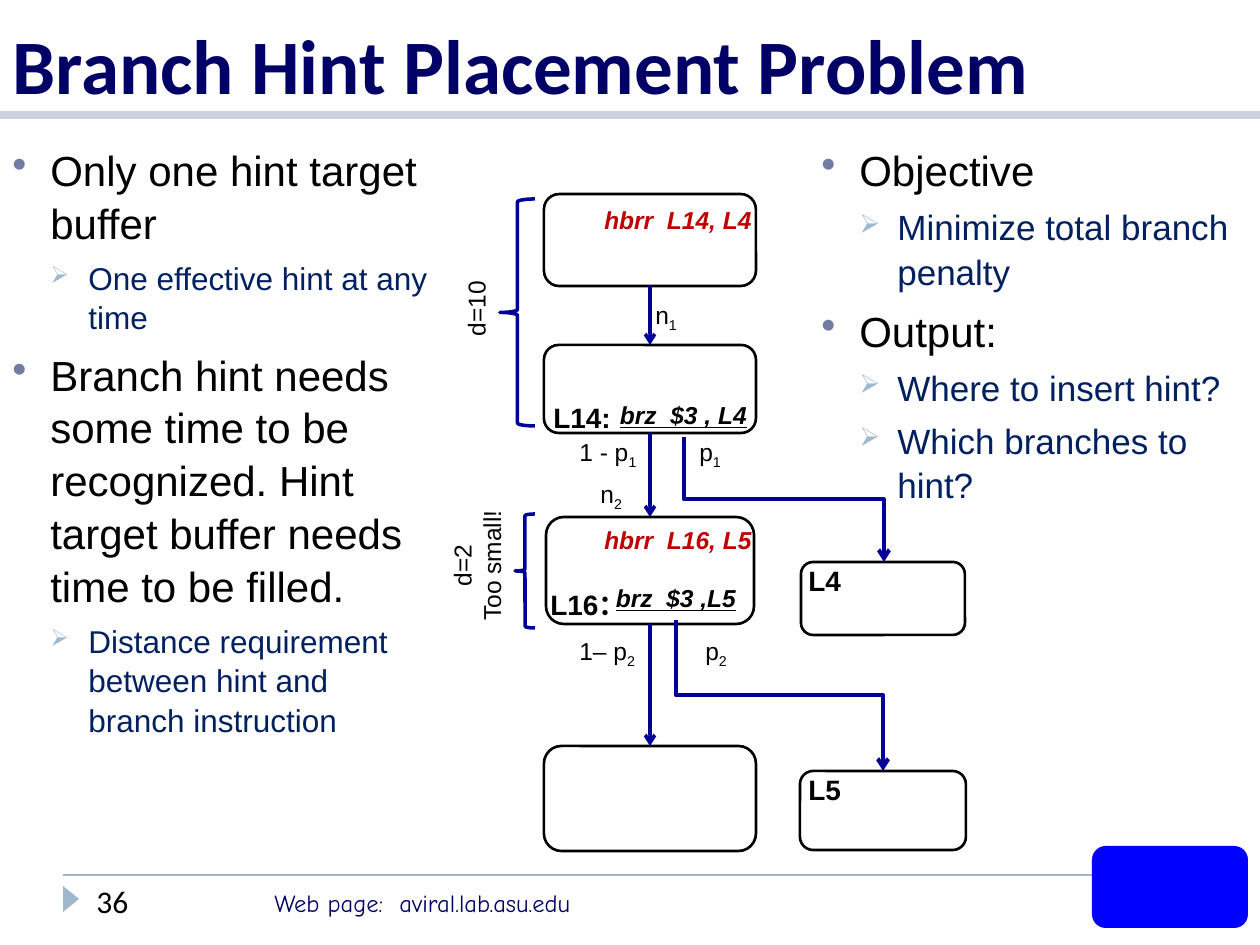
"""Build the slide on the branch hint placement problem."""
import pptx
import pptx.dml.color
import pptx.enum.shapes
import pptx.enum.text
import pptx.oxml.ns
import pptx.oxml.xmlchemy
import pptx.util

SHAPE = pptx.enum.shapes.MSO_SHAPE
CONNECTOR = pptx.enum.shapes.MSO_CONNECTOR
CENTER = pptx.enum.text.PP_ALIGN.CENTER
BOTTOM = pptx.enum.text.MSO_ANCHOR.BOTTOM
COLORS = {
    "title": "000066", "text": "000000", "detail": "002060", "hint": "C00000",
    "arrow": "000099", "rule": "9FB8CD", "band": "CCD0E0", "bullet": "727CA3",
    "mark": "0000FF",
}
TOP, BOTTOM_SIDE = 0, 2


def px(length):
    """Turn pixels into EMU."""
    return pptx.util.Emu(round(length * 914400 / 126))


def rgb(name):
    """Look up a named colour."""
    return pptx.dml.color.RGBColor.from_string(COLORS[name])


def add_xml(parent, tag, **attributes):
    """Append a DrawingML element with attributes."""
    element = parent.makeelement(pptx.oxml.ns.qn(tag), attributes)
    parent.append(element)
    return element


def style_run(run, size, color="text", font="Arial", bold=False, italic=False, underline=False):
    """Format one run."""
    run.font.name = font
    run.font.size = pptx.util.Pt(size)
    run.font.color.rgb = rgb(color)
    run.font.bold, run.font.italic, run.font.underline = bold, italic, underline


def add_label(slide, box, text, size=14, sub="", align=None, anchor=None, turned=False, **style):
    """Add a text box, optionally with a subscript or turned upwards."""
    frame = slide.shapes.add_textbox(*map(px, box)).text_frame
    frame.word_wrap = not turned
    frame.text = text
    if anchor is not None:
        frame.vertical_anchor = anchor
    if turned:
        frame._txBody.bodyPr.set("vert", "vert270")
    for paragraph in frame.paragraphs:
        paragraph.alignment = align
        if sub:
            paragraph.add_run().text = sub
        for run in paragraph.runs:
            style_run(run, size, **style)
        if sub:
            paragraph.runs[-1].font._element.set("baseline", "-25000")


def add_outline(slide, box, points, detail_size):
    """Add a two-level bulleted list from (level, text) pairs."""
    frame = slide.shapes.add_textbox(*map(px, box)).text_frame
    frame.word_wrap = True
    for index, (level, text) in enumerate(points):
        paragraph = frame.add_paragraph() if index else frame.paragraphs[0]
        paragraph.text = text
        paragraph.level = level
        properties = paragraph._p.get_or_add_pPr()
        properties.set("marL", str(px(38 * (level + 1))))
        properties.set("indent", str(-px(38)))
        bullet_color = add_xml(properties, "a:buClr")
        add_xml(bullet_color, "a:srgbClr", val=COLORS["rule" if level else "bullet"])
        if level:
            add_xml(properties, "a:buSzPct", val="76000")
        add_xml(properties, "a:buChar", char="➢" if level else "•")
        paragraph.line_spacing = 1.05
        if index:
            paragraph.space_before = pptx.util.Pt(5 if level else 6)
        style_run(paragraph.runs[0], detail_size if level else 24, "detail" if level else "text")


def add_outlined(slide, kind, box, color, width):
    """Add an unfilled preset shape."""
    shape = slide.shapes.add_shape(kind, *map(px, box))
    shape.shadow.inherit = False
    shape.fill.background()
    shape.line.color.rgb = rgb(color)
    shape.line.width = pptx.util.Pt(width)
    return shape


def add_solid(slide, kind, box, color):
    """Add a filled preset shape without an outline."""
    shape = slide.shapes.add_shape(kind, *map(px, box))
    shape.shadow.inherit = False
    shape.fill.solid()
    shape.fill.fore_color.rgb = rgb(color)
    shape.line.fill.background()
    return shape


def add_line(slide, start, end, color, width, arrow=False, kind=CONNECTOR.STRAIGHT):
    """Add a connector, optionally ending in an arrow."""
    line = slide.shapes.add_connector(kind, *map(px, (*start, *end)))
    line.line.color.rgb = rgb(color)
    line.line.width = pptx.util.Pt(width)
    if arrow:
        add_xml(line.line._get_or_add_ln(), "a:tailEnd", type="arrow")
    add_xml(line._element.spPr, "a:effectLst")
    return line


def add_fall_through(slide, upper, lower):
    """Join two blocks with a downward arrow."""
    line = add_line(slide, (650, 0), (650, 10), "arrow", 2, arrow=True)
    line.begin_connect(upper, BOTTOM_SIDE)
    line.end_connect(lower, TOP)


def add_taken_branch(slide, start, end):
    """Add an elbow arrow that leaves and arrives vertically."""
    across, down = end[0] - start[0], end[1] - start[1]
    line = add_line(slide, start, end, "arrow", 2.25, arrow=True, kind=CONNECTOR.ELBOW)
    line.left = px(start[0] + (across - down) / 2)
    line.top = px(start[1] + (down - across) / 2)
    line.width, line.height = px(down), px(across)
    transform = line._element.spPr.find(pptx.oxml.ns.qn("a:xfrm"))
    transform.set("rot", "16200000")
    transform.set("flipH", "1")


def add_frame(slide):
    """Add the title, rules and footer."""
    add_line(slide, (63, 875), (1092, 875), "rule", 1)
    add_line(slide, (0, 115), (1260, 115), "band", 5)
    add_solid(slide, SHAPE.ISOSCELES_TRIANGLE, (58, 891, 26, 16), "rule").rotation = 90
    add_solid(slide, SHAPE.ROUNDED_RECTANGLE, (1092, 846, 156, 82), "mark")
    add_label(slide, (262, 882, 472, 43), "Web page:  aviral.lab.asu.edu",
              color="title", font="Comic Neue")
    add_label(slide, (0, 0, 1260, 116), "Branch Hint Placement Problem", 44,
              anchor=BOTTOM, color="title", font="Calibri", bold=True)
    add_label(slide, (84, 876, 178, 50), "36", 18, font="Calibri")


def add_flow(slide):
    """Add the control flow graph."""
    blocks = [add_outlined(slide, SHAPE.ROUNDED_RECTANGLE, box, "text", 1.5) for box in (
        (544, 194, 212, 92), (544, 345, 212, 88), (546, 517, 208, 107), (544, 746, 212, 105),
        (801, 562, 164, 73), (800, 771, 166, 79))]
    for upper, lower in zip(blocks[:3], blocks[1:4]):
        add_fall_through(slide, upper, lower)
    add_taken_branch(slide, (684, 437), (884, 562))
    add_taken_branch(slide, (676, 620), (883, 771))
    for box in ((500, 199, 35, 227), (515, 514, 20, 114)):
        add_outlined(slide, SHAPE.LEFT_BRACE, box, "arrow", 2)

    add_label(slide, (455, 281, 55, 68), "d=10", turned=True)
    add_label(slide, (441, 504, 84, 123), "d=2\nToo small!", align=CENTER, turned=True)
    for box, name in (((541, 394, 101, 47), "L14:"), ((538, 581, 123, 47), "L16："),
                      ((796, 557, 73, 47), "L4"), ((796, 766, 73, 47), "L5")):
        add_label(slide, box, name, 16, bold=True)
    for box, branch in (((559, 394, 249, 43), "brz  $3 , L4"), ((567, 577, 218, 43), "brz  $3 ,L5")):
        add_label(slide, box, branch, align=CENTER, bold=True, italic=True, underline=True)
    for top, hint in ((199, "hbrr  L14, L4"), (519, "hbrr  L16, L5")):
        add_label(slide, (569, top, 218, 43), hint, align=CENTER,
                  color="hint", bold=True, italic=True)
    for left, top, width, symbol, sub in (
            (643, 294, 60, "n", "1"), (567, 431, 100, "1 - p", "1"), (687, 431, 60, "p", "1"),
            (588, 473, 84, "n", "2"), (567, 630, 100, "1– p", "2"), (693, 630, 100, "p", "2")):
        add_label(slide, (left, top, width, 43), symbol, sub=sub)


def main():
    """Build and save the slide."""
    deck = pptx.Presentation()
    deck.slide_width, deck.slide_height = px(1260), px(945)
    slide = deck.slides.add_slide(deck.slide_layouts[6])
    add_frame(slide)
    add_flow(slide)
    add_outline(slide, (0, 136, 441, 662), (
        (0, "Only one hint target buffer"),
        (1, "One effective hint at any time"),
        (0, "Branch hint needs some time to be recognized. Hint target buffer needs time to be filled."),
        (1, "Distance requirement between hint and branch instruction")), 18)
    add_outline(slide, (809, 136, 451, 711), (
        (0, "Objective"),
        (1, "Minimize total branch penalty"),
        (0, "Output:"),
        (1, "Where to insert hint?"),
        (1, "Which branches to hint?")), 20)
    deck.save("out.pptx")


if __name__ == "__main__":
    main()
